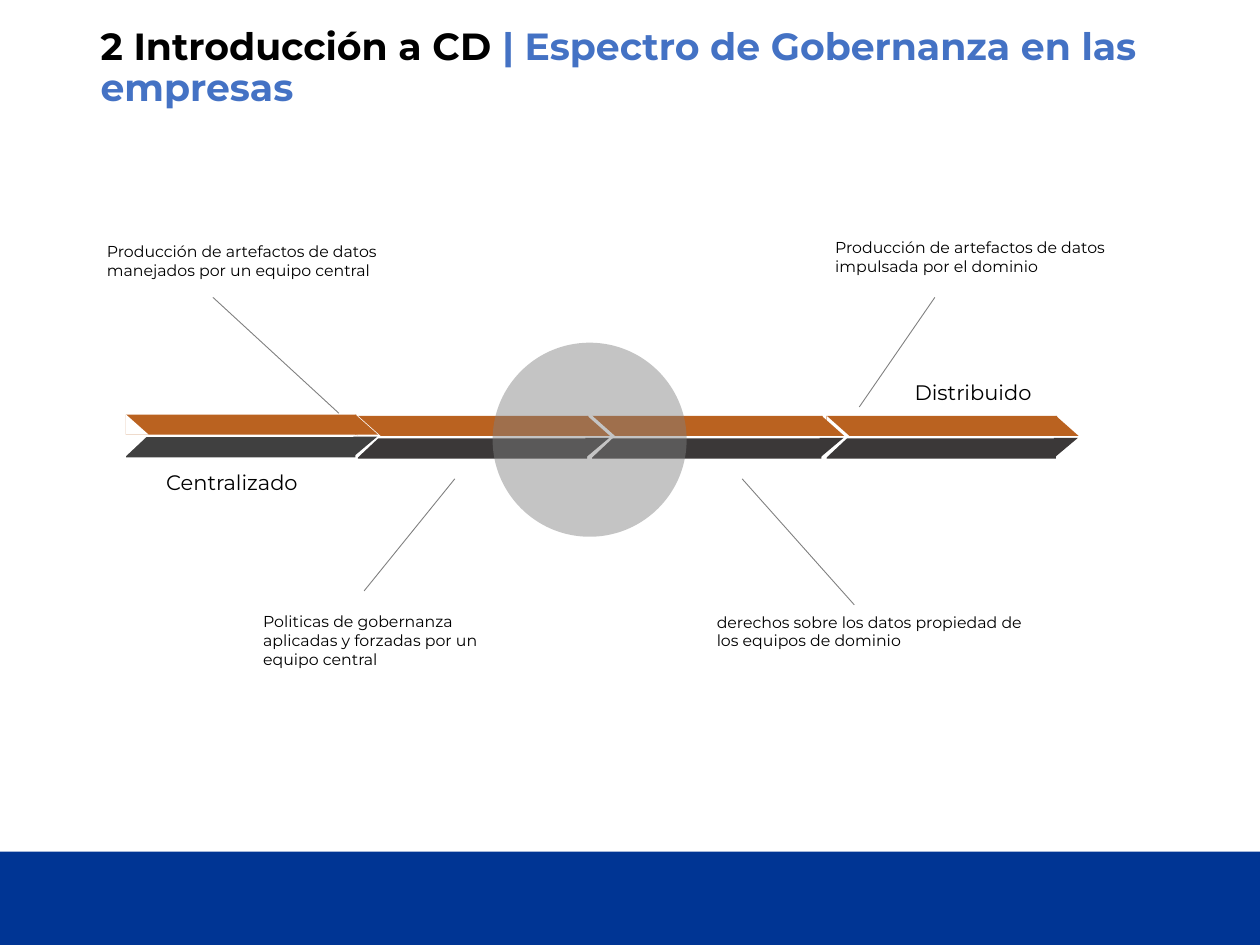
from lxml import etree
from pptx import Presentation
from pptx import util as u
from pptx.dml.color import RGBColor
from pptx.enum import shapes, text
from pptx.oxml.ns import qn

COLORS = {
    "bar": "003594", "orange": "BA6220", "dark": "3B3838", "charcoal": "404040",
    "white": "FFFFFF", "black": "000000", "blue": "4472C4", "gray": "808080",
}
COLUMNS, ROWS = 10, 7.5
UNIT = u.Inches(1)  # side of one grid cell


def grid(*cells):
    """Turn grid columns and rows into slide lengths."""
    return [round(cell * UNIT) for cell in cells]


def add_text(runs, box, size=9, bold=False, spacing=None, anchor=text.MSO_ANCHOR.TOP):
    """Add a wrapped text box holding (text, color name) runs."""
    frame = slide.shapes.add_textbox(*grid(*box)).text_frame
    frame.word_wrap = True
    frame.vertical_anchor = anchor
    paragraph = frame.paragraphs[0]
    paragraph.line_spacing = spacing
    for words, color in runs:
        run = paragraph.add_run()
        run.text = words
        run.font.name = "Montserrat"
        run.font.size = u.Pt(size)
        run.font.bold = bold
        run.font.color.rgb = RGBColor.from_string(COLORS[color])


presentation = Presentation()
presentation.slide_width, presentation.slide_height = grid(COLUMNS, ROWS)
slide = presentation.slides.add_slide(presentation.slide_layouts[6])

# Footer bar
bar_top = 6.76
footer = slide.shapes.add_shape(
    shapes.MSO_SHAPE.RECTANGLE, *grid(0, bar_top, COLUMNS, ROWS - bar_top))
footer.shadow.inherit = False
footer.fill.solid()
footer.fill.fore_color.rgb = RGBColor.from_string(COLORS["bar"])
footer.line.fill.background()

# Spectrum arrow: four two-tone segments, stacked from right to left
RECT, TRIANGLE = shapes.MSO_SHAPE.RECTANGLE, shapes.MSO_SHAPE.RIGHT_TRIANGLE
segments = [(6.56, 3.3, "dark"), (4.7, 3.3, "dark"), (2.84, 3.3, "dark"), (1, 3.29, "charcoal")]
for left, top, lower in segments:
    pieces = [  # preset, x, y, width, height, rotation, color
        (RECT, 0, 0.18, 1.82, 0.16, 0, lower),
        (TRIANGLE, 0, 0.17, 0.16, 0.17, 90, "white"),
        (TRIANGLE, 1.82, 0.16, 0.16, 0.19, 90, lower),
        (TRIANGLE, 1.82, 0, 0.18, 0.16, 0, "orange"),
        (RECT, 0, 0, 1.83, 0.16, 0, "orange"),
        (TRIANGLE, 0, 0, 0.18, 0.16, 0, "white"),
    ]
    segment = slide.shapes.add_group_shape()
    for preset, x, y, width, height, rotation, color in pieces:
        piece = segment.shapes.add_shape(preset, *grid(left + x, top + y, width, height))
        piece.rotation = rotation
        piece.shadow.inherit = False
        piece.fill.solid()
        piece.fill.fore_color.rgb = RGBColor.from_string(COLORS[color])
        piece.line.fill.background()

# Ends of the spectrum
for words, left, top in [("Centralizado", 1.22, 3.68), ("Distribuido", 7.16, 2.96)]:
    add_text([(words, "black")], (left, top, 1.31, 0.3), size=12)

# Notes, each with a leader line to the arrow
notes = [
    ("Producción de artefactos de datos manejados por un equipo central",
     (0.75, 1.87, 2.71, 0.41), (1.69, 2.36, 2.69, 3.28)),
    ("Politicas de gobernanza aplicadas y forzadas por un equipo central",
     (1.99, 4.81, 1.91, 0.56), (2.89, 4.69, 3.61, 3.8)),
    ("Producción de artefactos de datos impulsada por el dominio",
     (6.53, 1.84, 2.71, 0.41), (7.42, 2.36, 6.82, 3.23)),
    ("derechos sobre los datos propiedad de los equipos de dominio",
     (5.59, 4.81, 2.71, 0.41), (6.78, 4.8, 5.89, 3.8)),
]
for words, box, ends in notes:
    add_text([(words, "black")], box)
    leader = slide.shapes.add_connector(shapes.MSO_CONNECTOR.STRAIGHT, *grid(*ends))
    leader.line.width = u.Pt(0.5)
    leader.line.color.rgb = RGBColor.from_string(COLORS["gray"])
    etree.SubElement(leader._element.spPr, qn("a:effectLst"))

# Translucent circle over the middle of the arrow
circle = slide.shapes.add_shape(shapes.MSO_SHAPE.OVAL, *grid(3.91, 2.72, 1.54, 1.54))
circle.shadow.inherit = False
circle.fill.solid()
circle.fill.fore_color.rgb = RGBColor.from_string(COLORS["gray"])
circle.line.fill.background()
circle_color = circle._element.spPr.find(qn("a:solidFill"))[0]
etree.SubElement(circle_color, qn("a:alpha"), val="46000")

add_text(
    [("2 Introducción a CD ", "black"), ("| Espectro de Gobernanza en las empresas", "blue")],
    (0.7, 0.25, 8.62, 0.59), size=21.6, bold=True, spacing=0.9, anchor=text.MSO_ANCHOR.MIDDLE)

presentation.save("out.pptx")
